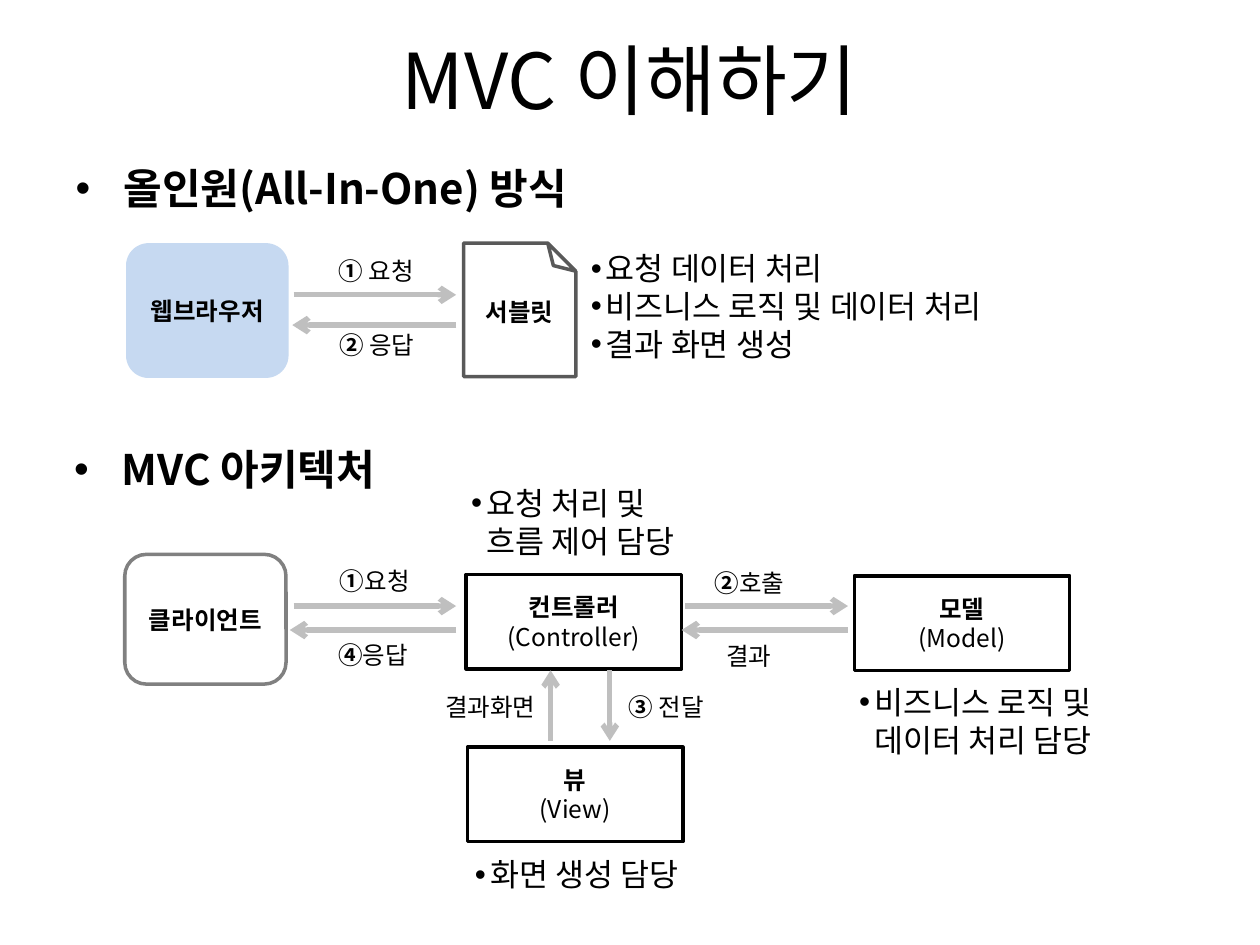
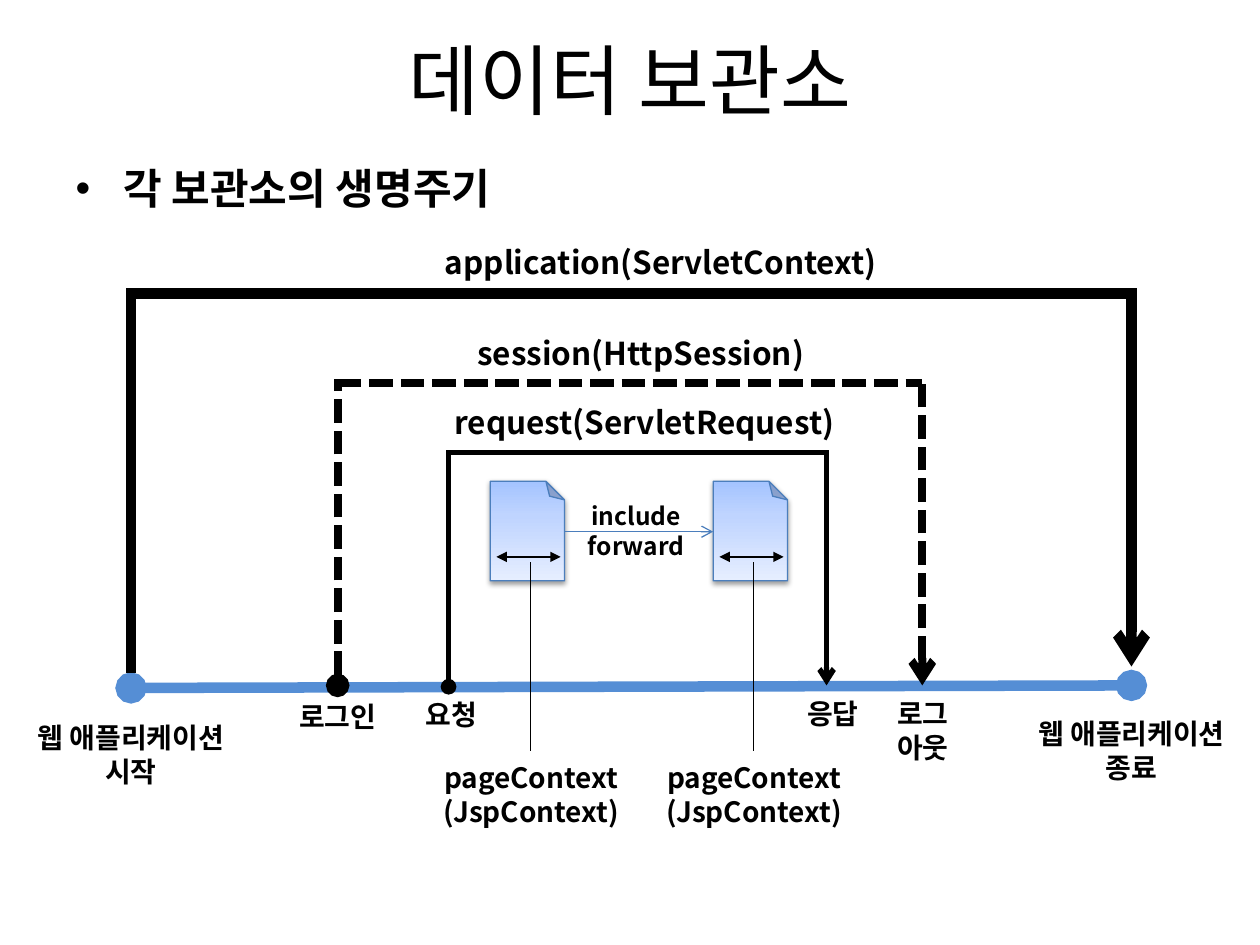
from lxml import etree
from pptx import Presentation
from pptx import util as u
from pptx.dml.color import RGBColor
from pptx.enum import shapes, text
from pptx.oxml import parse_xml
from pptx.oxml.ns import nsdecls, qn

# Shared style
FONT = "Noto Sans CJK KR"
BLACK, ARROW_GREY = "000000", "BFBFBF"
TIMELINE_BLUE, PAGE_BLUE = "558ED5", "4B7EBC"
LEFT, CENTER, RIGHT = text.PP_ALIGN.LEFT, text.PP_ALIGN.CENTER, text.PP_ALIGN.RIGHT
MIDDLE = text.MSO_ANCHOR.MIDDLE
HEADING = dict(size=24, align=LEFT, margin=0.38, hanging=0.38, bullet=True)
ROLE = dict(size=18, align=LEFT, inset=(0, 0.05), margin=0.16, hanging=0.12, bullet=True)
STEP = dict(size=14, inset=(0, 0), margin=0.04)
rgb = RGBColor.from_string


def write_text(shape, paragraphs, size=14, align=CENTER, inset=(0.1, 0.05),
               margin=0, hanging=0, bullet=False):
    """Fill a shape with paragraphs, each a list of (words, bold) runs."""
    frame = shape.text_frame
    frame.word_wrap = True
    frame.auto_size = text.MSO_AUTO_SIZE.NONE
    frame.margin_left = frame.margin_right = u.Inches(inset[0])
    frame.margin_top = frame.margin_bottom = u.Inches(inset[1])
    for number, runs in enumerate(paragraphs):
        paragraph = frame.add_paragraph() if number else frame.paragraphs[0]
        paragraph.alignment = align
        paragraph.space_before = u.Pt(0)
        properties = paragraph._p.get_or_add_pPr()
        properties.set("marL", str(u.Inches(margin)))
        properties.set("indent", str(-u.Inches(hanging)))
        if bullet:
            etree.SubElement(properties, qn("a:buFont"), typeface="Arial")
            etree.SubElement(properties, qn("a:buChar"), char="•")
        for words, bold in runs:
            for line_number, line in enumerate(words.split("\n")):
                if line_number:
                    paragraph.add_line_break()
                run = paragraph.add_run()
                run.text = line
                run.font.size = u.Pt(size)
                run.font.bold = bold
                run.font.color.rgb = rgb(BLACK)
                run.font.name = FONT
                etree.SubElement(run._r.get_or_add_rPr(), qn("a:ea"), typeface=FONT)


def draw_line(slide, start, end, color, weight, head=None, tail=None, dash=None):
    line = slide.shapes.add_connector(shapes.MSO_CONNECTOR.STRAIGHT,
                                      *map(u.Inches, start + end))
    line.line.color.rgb = rgb(color)
    line.line.width = u.Pt(weight)
    properties = line._element.spPr
    outline = properties.find(qn("a:ln"))
    for tag, kind in (("prstDash", dash), ("headEnd", head), ("tailEnd", tail)):
        if kind:
            end_mark = etree.SubElement(outline, qn("a:" + tag))
            end_mark.set("val" if tag == "prstDash" else "type", kind)
    etree.SubElement(properties, qn("a:effectLst"))


prs = Presentation()
prs.slide_width, prs.slide_height = u.Inches(10), u.Inches(7.5)

# Titles and first headings
slides = []
for title, heading in (("MVC 이해하기", "올인원(All-In-One) 방식"),
                       ("데이터 보관소", "각 보관소의 생명주기")):
    slide = prs.slides.add_slide(prs.slide_layouts[1])
    title_area, heading_area = slide.placeholders
    for area, box in ((title_area, (0.5, 0, 9, 1.25)), (heading_area, (0.5, 1.24, 9, 0.66))):
        area.left, area.top, area.width, area.height = map(u.Inches, box)
    write_text(title_area, [[(title, False)]], size=44)
    title_area.text_frame.vertical_anchor = MIDDLE
    write_text(heading_area, [[(heading, True)]], **HEADING)
    slides.append(slide)
mvc, storage = slides

# MVC: second heading
mvc_heading = mvc.shapes.add_textbox(*map(u.Inches, (0.49, 3.47, 9, 0.66)))
write_text(mvc_heading, [[("MVC 아키텍처", True)]], **HEADING)

# MVC: parts of both architectures
ROUND, RECT = shapes.MSO_SHAPE.ROUNDED_RECTANGLE, shapes.MSO_SHAPE.RECTANGLE
for kind, box, fill, outline, name, english in (
    (ROUND, (1, 1.93, 1.29, 1.07), "C6D9F1", None, "웹브라우저", None),
    (ROUND, (0.99, 4.4, 1.28, 1.03), None, "808080", "클라이언트", None),
    (RECT, (3.7, 4.56, 1.71, 0.75), None, BLACK, "컨트롤러", "(Controller)"),
    (RECT, (6.78, 4.57, 1.71, 0.75), None, BLACK, "모델", "(Model)"),
    (RECT, (3.71, 5.93, 1.71, 0.75), None, BLACK, "뷰", "(View)"),
):
    part = mvc.shapes.add_shape(kind, *map(u.Inches, box))
    part.shadow.inherit = False
    if fill:
        part.fill.solid()
        part.fill.fore_color.rgb = rgb(fill)
    else:
        part.fill.background()
    if outline:
        part.line.color.rgb = rgb(outline)
        part.line.width = u.Pt(2)
    else:
        part.line.fill.background()
    write_text(part, [[(name, True)]] + ([[(english, False)]] if english else []))
    part.text_frame.vertical_anchor = MIDDLE

# MVC: servlet page, with its name kept upright in a separate box
servlet = mvc.shapes.add_shape(shapes.MSO_SHAPE.FOLDED_CORNER,
                               *map(u.Inches, (3.68, 1.93, 0.89, 1.06)))
servlet.shadow.inherit = False
servlet.fill.background()
servlet.line.color.rgb = rgb("595959")
servlet.line.width = u.Pt(2)
servlet._element.spPr.find(qn("a:xfrm")).set("flipV", "1")
servlet_name = mvc.shapes.add_textbox(*map(u.Inches, (3.68, 2.31, 0.89, 0.7)))
write_text(servlet_name, [[("서블릿", True)]])

# MVC: requests and answers
for start, end in (
    ((2.33, 2.34), (3.62, 2.34)), ((3.62, 2.58), (2.32, 2.58)),
    ((2.33, 4.81), (3.62, 4.81)), ((3.62, 5), (2.3, 5)),
    ((5.44, 4.81), (6.73, 4.81)), ((6.73, 5), (5.41, 5)),
    ((4.84, 5.32), (4.84, 5.88)), ((4.37, 5.88), (4.37, 5.32)),
):
    draw_line(mvc, start, end, ARROW_GREY, 3, tail="arrow")

for box, number, action, align in (
    ((2.27, 2.03, 1.39, 0.24), "① ", "요청", CENTER),
    ((2.32, 2.62, 1.3, 0.24), "② ", "응답", CENTER),
    ((2.29, 4.49, 1.33, 0.24), "①", "요청", CENTER),
    ((2.27, 5.08, 1.34, 0.24), "④", "응답", CENTER),
    ((5.42, 4.51, 1.02, 0.24), "②", "호출", CENTER),
    ((5.41, 5.09, 1.03, 0.24), "", "결과", CENTER),
    ((4.95, 5.49, 0.99, 0.24), "③ ", "전달", LEFT),
    ((3.15, 5.49, 1.1, 0.24), "", "결과화면", RIGHT),
):
    step = mvc.shapes.add_textbox(*map(u.Inches, box))
    runs = [(number, True)] if number else []
    write_text(step, [runs + [(action, False)]], align=align, **STEP)

# MVC: role of each part
for box, roles in (
    ((4.65, 1.93, 4.13, 1.01),
     ["요청 데이터 처리", "비즈니스 로직 및 데이터 처리", "결과 화면 생성"]),
    ((3.7, 3.79, 2.01, 0.71), ["요청 처리 및 \n흐름 제어 담당"]),
    ((6.78, 5.37, 2.2, 0.71), ["비즈니스 로직 및 데이터 처리 담당"]),
    ((3.73, 6.74, 2.22, 0.4), ["화면 생성 담당"]),
):
    role_list = mvc.shapes.add_textbox(*map(u.Inches, box))
    write_text(role_list, [[(role, False)] for role in roles], **ROLE)

# Storage: timeline of the web application
draw_line(storage, (1.04, 5.46), (8.98, 5.44), TIMELINE_BLUE, 6, head="oval", tail="oval")

# Storage: lifetime brackets as start, end, top, foot, arrow tip
for start, end, top, foot, tip, weight, dash, origin in (
    (1.04, 8.98, 2.33, 5.34, 5.29, 6, None, None),
    (2.68, 7.32, 3.04, 5.44, 5.44, 4.5, "sysDash", "oval"),
    (3.56, 6.56, 3.59, 5.45, 5.44, 3, None, "oval"),
):
    corner = top - weight / 144  # half the line weight, in inches
    draw_line(storage, (start, foot), (start, corner), BLACK, weight, head=origin, dash=dash)
    draw_line(storage, (start, top), (end, top), BLACK, weight, dash=dash)
    draw_line(storage, (end, tip), (end, corner), BLACK, weight, head="arrow", dash=dash)

# Storage: two pages, each with its own page context
PAGE_GRADIENT = f"""<a:gradFill {nsdecls('a')} rotWithShape="1"><a:gsLst>
<a:gs pos="0"><a:srgbClr val="A4C4FF"/></a:gs>
<a:gs pos="35000"><a:srgbClr val="BFD4FF"/></a:gs>
<a:gs pos="100000"><a:srgbClr val="E6EEFF"/></a:gs>
</a:gsLst><a:lin ang="16200000" scaled="1"/></a:gradFill>"""
PAGE_SHADOW = f"""<a:effectLst {nsdecls('a')}>
<a:outerShdw blurRad="{u.Pt(3.1)}" dist="{u.Pt(1.6)}" dir="5400000" rotWithShape="0">
<a:srgbClr val="000000"><a:alpha val="38000"/></a:srgbClr></a:outerShdw></a:effectLst>"""
folded_pages = [servlet]
for left in (3.89, 5.66):
    page = storage.shapes.add_shape(shapes.MSO_SHAPE.FOLDED_CORNER,
                                    *map(u.Inches, (left, 3.82, 0.59, 0.79)))
    page.rotation = 180
    page.line.color.rgb = rgb(PAGE_BLUE)
    page.line.width = u.Pt(0.75)
    properties = page._element.spPr
    properties.find(qn("a:xfrm")).set("flipH", "1")
    properties.find(qn("a:ln")).addprevious(parse_xml(PAGE_GRADIENT))
    properties.append(parse_xml(PAGE_SHADOW))
    folded_pages.append(page)
    draw_line(storage, (left + 0.05, 4.42), (left + 0.56, 4.42), BLACK, 0.75,
              head="triangle", tail="triangle")
    draw_line(storage, (left + 0.32, 5.96), (left + 0.32, 4.46), BLACK, 0.75)
draw_line(storage, (4.48, 4.22), (5.66, 4.22), PAGE_BLUE, 0.75, tail="arrow")

# Fold size of every page, a quarter of its width
for page in folded_pages:
    geometry = page._element.spPr.find(qn("a:prstGeom"))
    fold = geometry.find(qn("a:avLst"))
    etree.SubElement(fold, qn("a:gd"), name="adj", fmla="val 25000")

# Storage: names of the scopes and moments
for box, size, lines in (
    ((2.88, 1.88, 4.73, 0.4), 18, ["application(ServletContext)"]),
    ((3.22, 2.6, 3.73, 0.4), 18, ["session(HttpSession)"]),
    ((3.5, 3.15, 3.23, 0.4), 18, ["request(ServletRequest)"]),
    ((4.55, 3.93, 1, 0.57), 14, ["include", "forward"]),
    ((0.07, 5.67, 1.94, 0.64), 16, ["웹 애플리케이션", "시작"]),
    ((2.14, 5.5, 1.08, 0.37), 16, ["로그인"]),
    ((3.22, 5.49, 0.72, 0.37), 16, ["요청"]),
    ((6.25, 5.48, 0.72, 0.37), 16, ["응답"]),
    ((6.77, 5.48, 1.11, 0.64), 16, ["로그", "아웃"]),
    ((8.02, 5.64, 1.92, 0.64), 16, ["웹 애플리케이션", "종료"]),
    ((3.19, 5.99, 2.05, 0.64), 16, ["pageContext", "(JspContext)"]),
    ((4.96, 5.99, 2.05, 0.64), 16, ["pageContext", "(JspContext)"]),
):
    caption = storage.shapes.add_textbox(*map(u.Inches, box))
    write_text(caption, [[(line, True)] for line in lines], size=size)

prs.save("out.pptx")
